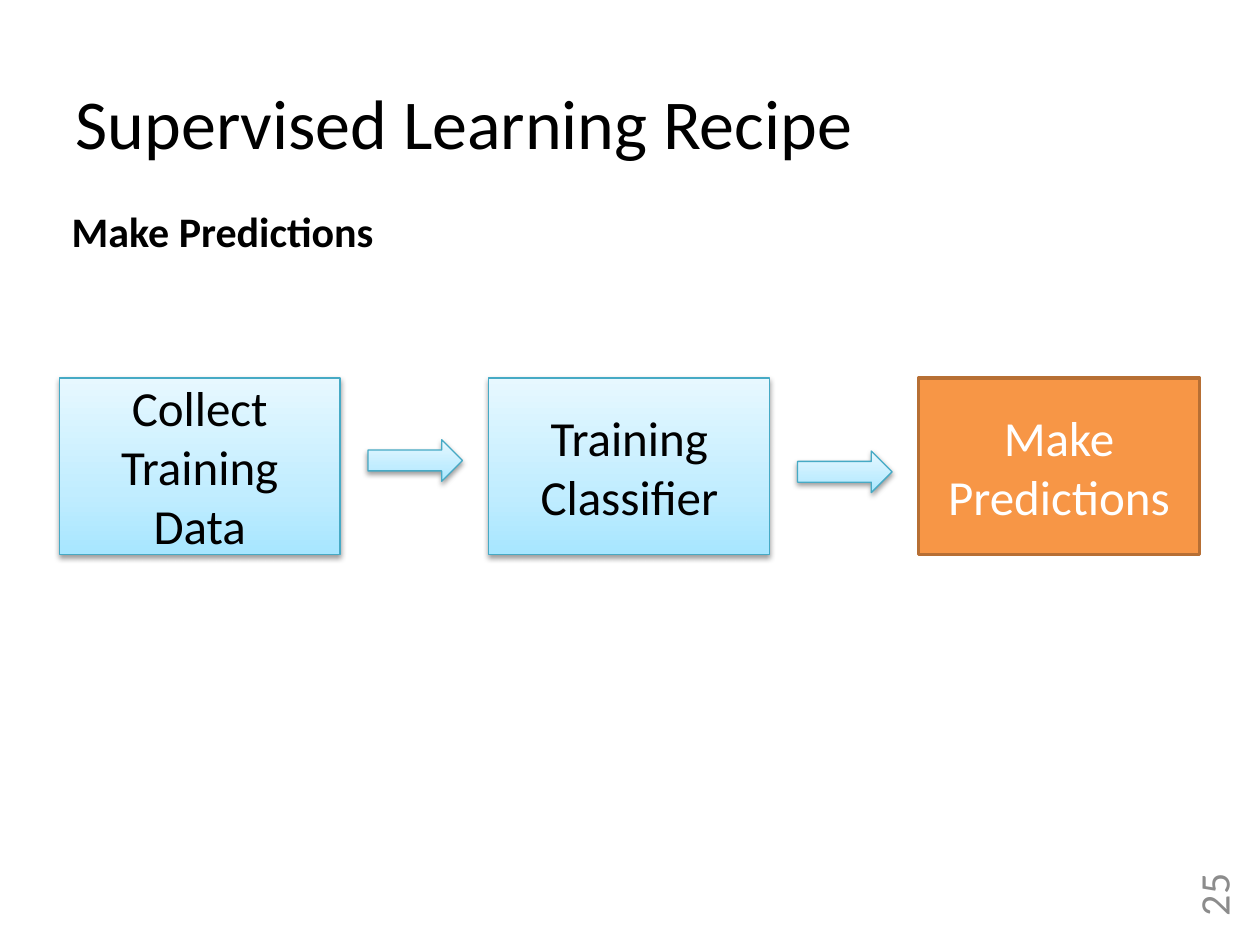
from pptx import Presentation
from pptx.dml.color import RGBColor
from pptx.enum.shapes import MSO_SHAPE as Shape
from pptx.enum.text import MSO_ANCHOR as Anchor, PP_ALIGN as Align
from pptx.oxml import parse_xml
from pptx.oxml.ns import nsdecls, qn
from pptx.util import Inches, Pt

WIDTH, HEIGHT = 10, 7.5
STEP_LEFT, STEP_TOP, STEP_PITCH = 0.47, 3, 3.41
STEP_WIDTH, STEP_HEIGHT = 2.23, 1.4
ARROW_OFFSET = 2.45


def color(hex_string):
    return RGBColor.from_string(hex_string)


class RecipeSlide:
    font = "Calibri"
    ink, muted, light = "000000", "8C8C8C", "FFFFFF"
    sky_stops = ((0, "A7E6FF"), (35, "C1EDFF"), (100, "E7F8FF"))
    sky_line = "46AAC5"
    active_fill, active_line = "F79646", "B76F34"

    def __init__(self, deck):
        self.slide = deck.slides.add_slide(deck.slide_layouts[5])

    def set_text(self, frame, text, size, ink, align=Align.LEFT, anchor=Anchor.TOP, bold=False):
        frame.text = text
        frame.word_wrap = True
        frame.vertical_anchor = anchor
        paragraph = frame.paragraphs[0]
        paragraph.alignment = align
        font = paragraph.font
        font.name, font.size, font.bold = self.font, Pt(size), bold
        font.color.rgb = color(ink)

    def title(self, text, *box):
        heading = self.slide.shapes.title
        heading.left, heading.top, heading.width, heading.height = map(Inches, box)
        self.set_text(heading.text_frame, text, 40, self.ink)

    def label(self, text, *box, rotation=0, **style):
        caption = self.slide.shapes.add_textbox(*map(Inches, box))
        caption.rotation = rotation
        self.set_text(caption.text_frame, text, 24, **style)

    def block(self, kind, *box, active=False):
        block = self.slide.shapes.add_shape(kind, *map(Inches, box))
        block.shadow.inherit = False
        block.line.color.rgb = color(self.active_line if active else self.sky_line)
        block.line.width = Pt(2 if active else 0.75)
        if active:
            block.fill.solid()
            block.fill.fore_color.rgb = color(self.active_fill)
        else:
            self.shade(block)
        return block

    def shade(self, block):
        block.fill.gradient()
        block.fill.gradient_angle = 90
        properties = block._element.spPr
        stops = properties.find(".//" + qn("a:gsLst"))
        stops[:] = [
            parse_xml(
                f'<a:gs {nsdecls("a")} pos="{share * 1000}"><a:srgbClr val="{tone}"/></a:gs>'
            )
            for share, tone in self.sky_stops
        ]
        properties.find(qn("a:effectLst")).append(parse_xml(
            f'<a:outerShdw {nsdecls("a")} blurRad="{Pt(3.1)}" dist="{Pt(1.6)}" '
            'dir="5400000" rotWithShape="0"><a:srgbClr val="000000">'
            '<a:alpha val="38000"/></a:srgbClr></a:outerShdw>'
        ))

    def step(self, column, text, active=False):
        left = STEP_LEFT + column * STEP_PITCH
        block = self.block(Shape.RECTANGLE, left, STEP_TOP, STEP_WIDTH, STEP_HEIGHT, active=active)
        self.set_text(block.text_frame, text, 28, self.light if active else self.ink,
                      Align.CENTER, Anchor.MIDDLE)

    def arrow(self, column, top):
        left = STEP_LEFT + column * STEP_PITCH + ARROW_OFFSET
        self.block(Shape.RIGHT_ARROW, left, top, 0.75, 0.33)


def main():
    deck = Presentation()
    deck.slide_width, deck.slide_height = Inches(WIDTH), Inches(HEIGHT)
    recipe = RecipeSlide(deck)
    recipe.title("Supervised Learning Recipe", 0.5, 0.58, 9.08, 0.77)
    recipe.label("Make Predictions", 0.47, 1.58, 9.08, 0.5, ink=recipe.ink, bold=True)
    steps = ("Collect Training Data", "Training Classifier", "Make Predictions")
    for column, text in enumerate(steps):
        recipe.step(column, text, active=column == len(steps) - 1)
    for column, top in enumerate((3.49, 3.58)):
        recipe.arrow(column, top)
    recipe.label("25", 9.29, 6.96, 0.67, 0.42, rotation=270, ink=recipe.muted,
                 align=Align.RIGHT, anchor=Anchor.MIDDLE)
    deck.save("out.pptx")


if __name__ == "__main__":
    main()
